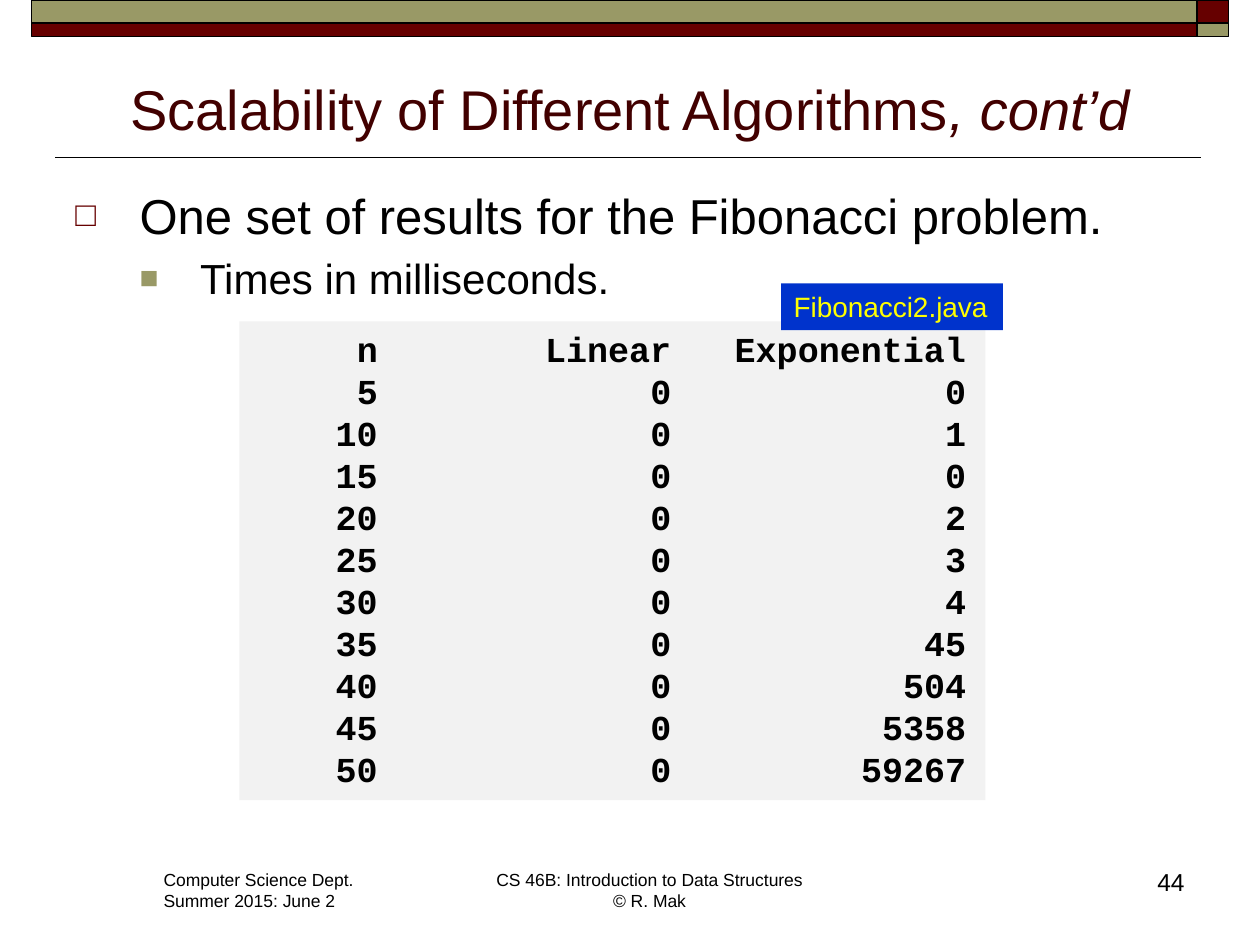
"""Build the Fibonacci scalability results slide."""
from lxml import etree
from pptx import Presentation
from pptx import util as u
from pptx.dml.color import RGBColor
from pptx.enum import shapes, text
from pptx.oxml.ns import qn

MAROON, OLIVE, BLACK = "660000", "999966", "000000"
LEFT, CENTER, RIGHT = text.PP_ALIGN.LEFT, text.PP_ALIGN.CENTER, text.PP_ALIGN.RIGHT
TIMES = [("n", "Linear", "Exponential"), (5, 0, 0), (10, 0, 1), (15, 0, 0),
         (20, 0, 2), (25, 0, 3), (30, 0, 4), (35, 0, 45), (40, 0, 504),
         (45, 0, 5358), (50, 0, 59267)]


def color(value):
    """Turn a hex string into a colour."""
    return RGBColor.from_string(value)


def style(p, size, hue=BLACK, font="Arial", bold=False, align=LEFT):
    """Format a paragraph and all its runs."""
    p.alignment = align
    for r in p.runs:
        r.font.size, r.font.name, r.font.bold = u.Pt(size), font, bold
        r.font.color.rgb = color(hue)


def add_rect(s, box, fill, outlined=False):
    """Add a flat rectangle."""
    sp = s.shapes.add_shape(shapes.MSO_SHAPE.RECTANGLE, *map(u.Inches, box))
    sp.shadow.inherit = False
    sp.fill.solid()
    sp.fill.fore_color.rgb = color(fill)
    if outlined:
        sp.line.color.rgb = color(BLACK)
        sp.line.width = u.Pt(1)
    else:
        sp.line.fill.background()
    return sp


def fill_text(sp, content, size, wrap=True, anchor=text.MSO_ANCHOR.TOP, **look):
    """Write styled text into a shape."""
    tf = sp.text_frame
    tf.word_wrap, tf.vertical_anchor = wrap, anchor
    tf.text = content
    for p in tf.paragraphs:
        style(p, size, **look)
    return tf


def add_text(s, box, content, size, **look):
    """Add a text box."""
    return fill_text(s.shapes.add_textbox(*map(u.Inches, box)), content, size, **look)


def add_rule(s, start, end):
    """Add a thin black line."""
    line = s.shapes.add_connector(shapes.MSO_CONNECTOR.STRAIGHT,
                                  *map(u.Inches, start + end))
    line.line.color.rgb = color(BLACK)
    line.line.width = u.Pt(1)
    etree.SubElement(line._element.spPr, qn("a:effectLst"))


def set_bullet(p, char, hue, percent, margin, hang):
    """Give a paragraph a coloured bullet and hanging indent."""
    pPr = p._p.get_or_add_pPr()
    pPr.set("marL", str(u.Inches(margin)))
    pPr.set("indent", str(-u.Inches(hang)))
    clr = etree.SubElement(pPr, qn("a:buClr"))
    etree.SubElement(clr, qn("a:srgbClr"), val=hue)
    etree.SubElement(pPr, qn("a:buSzPct"), val=str(percent * 1000))
    etree.SubElement(pPr, qn("a:buFont"), typeface="Arial")
    etree.SubElement(pPr, qn("a:buChar"), char=char)


def set_right_tabs(p, stops):
    """Add right-aligned tab stops to a paragraph."""
    tabs = etree.SubElement(p._p.get_or_add_pPr(), qn("a:tabLst"))
    for stop in stops:
        etree.SubElement(tabs, qn("a:tab"), pos=str(u.Inches(stop)), algn="r")


def add_banner(s):
    """Draw the two-row band across the top."""
    for top, height, wide, corner in ((0, 0.18, OLIVE, MAROON), (0.18, 0.11, MAROON, OLIVE)):
        add_rect(s, (0.25, top, 9.25, height), wide, outlined=True)
        add_rect(s, (9.5, top, 0.25, height), corner, outlined=True)


def add_title(s):
    """Add the title with its italic ending."""
    tf = add_text(s, (0.5, 0.45, 9, 0.72), "Scalability of Different Algorithms", 32,
                  anchor=text.MSO_ANCHOR.BOTTOM)
    p = tf.paragraphs[0]
    r = p.add_run()
    r.text = ", cont’d"
    r.font.italic = True
    style(p, 32, hue="420000", align=CENTER)


def add_points(s):
    """Add the bulleted statements."""
    tf = add_text(s, (0.5, 1.42, 9, 1.13), "One set of results for the Fibonacci problem.\n"
                  "Times in milliseconds.", 28)
    first, second = tf.paragraphs
    style(second, 24)
    second.level = 1
    first.space_before, second.space_before = u.Pt(5.6), u.Pt(4.8)
    set_bullet(first, "□", MAROON, 70, 0.51, 0.51)
    set_bullet(second, "■", OLIVE, 75, 0.99, 0.48)


def add_results(s):
    """Add the panel of timings in right-aligned columns."""
    rows = "\n".join("".join(f"\t{value}" for value in row) for row in TIMES)
    tf = fill_text(add_rect(s, (1.9, 2.55, 5.92, 3.8), "F2F2F2"), rows, 20,
                   font="Courier New", bold=True)
    for p in tf.paragraphs:
        set_right_tabs(p, (1, 3.33, 5.67))


def add_footer(s):
    """Add the department, course and page number."""
    add_text(s, (1.2, 6.85, 1.73, 0.44), "Computer Science Dept.\nSummer 2015: June 2", 10,
             wrap=False)
    add_text(s, (3.82, 6.85, 2.67, 0.44),
             "CS 46B: Introduction to Data Structures\v© R. Mak", 10, wrap=False, align=CENTER)
    add_text(s, (7.42, 6.83, 2.08, 0.5), "44", 14, align=RIGHT)


def main():
    """Build and save the slide."""
    prs = Presentation()
    prs.slide_width, prs.slide_height = u.Inches(10), u.Inches(7.5)
    s = prs.slides.add_slide(prs.slide_layouts[6])
    add_rule(s, (9.53, 1.25), (0.44, 1.25))
    add_banner(s)
    add_footer(s)
    add_title(s)
    add_points(s)
    add_results(s)
    fill_text(add_rect(s, (6.2, 2.25, 1.76, 0.37), "0033CC"), "Fibonacci2.java", 16,
              wrap=False, hue="FFFF00")
    prs.save("out.pptx")


main()
